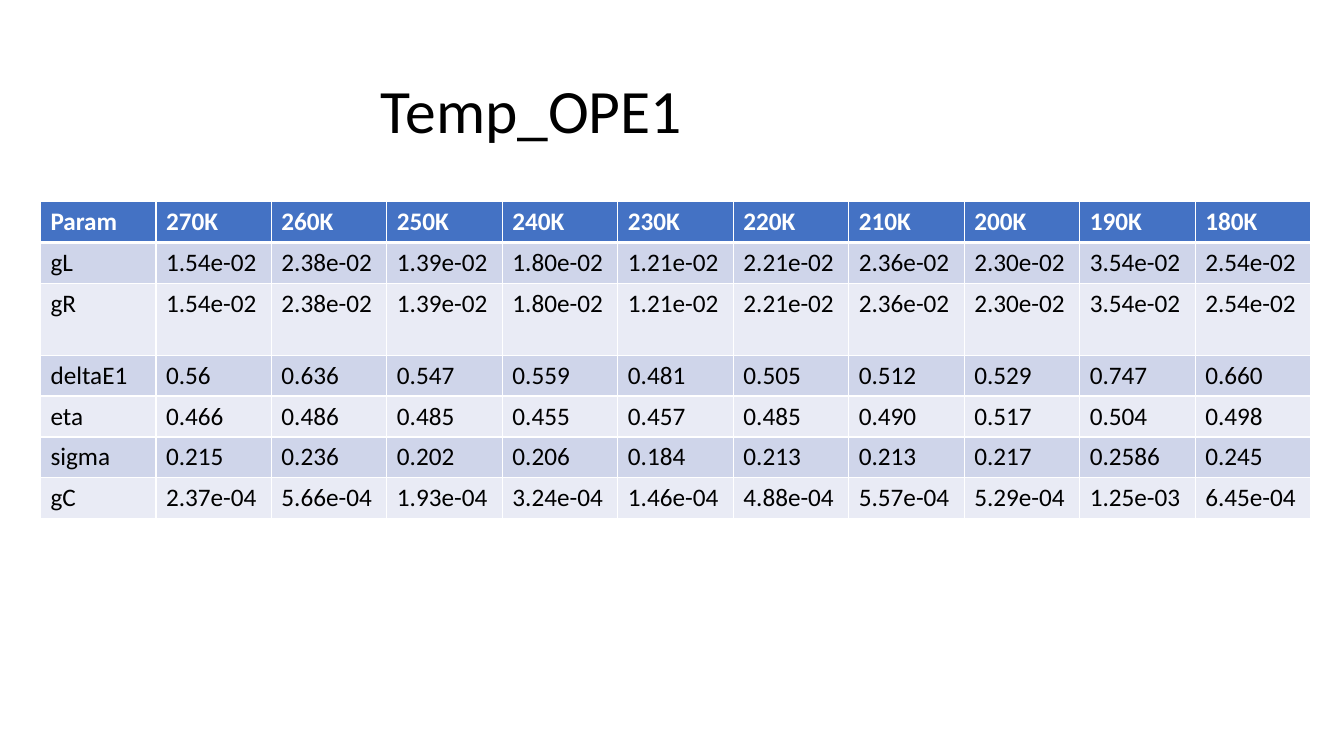
from dataclasses import dataclass

from lxml.etree import SubElement
from pptx import Presentation
from pptx.dml.color import RGBColor
from pptx.enum.text import MSO_ANCHOR
from pptx.oxml.ns import qn
from pptx.slide import Slide
from pptx.table import _Cell
from pptx.text.text import Font
from pptx.util import Cm, Pt

FONT = "Calibri"
COLORS = {
    "text": "000000",
    "header_text": "FFFFFF",
    "border": "FFFFFF",
    "header": "4472C4",
    "odd_band": "CFD5EA",
    "even_band": "E9EBF5",
}
COLUMN_WIDTH = 2.91
ROW_HEIGHT = 1.03
TALL_ROW_HEIGHT = 1.81
THIN, THICK = 1, 3


@dataclass
class ParameterRow:
    label: str
    values: str
    height: float = ROW_HEIGHT


TEMPERATURES = ParameterRow("Param", "270K 260K 250K 240K 230K 220K 210K 200K 190K 180K")
COUPLINGS = "1.54e-02 2.38e-02 1.39e-02 1.80e-02 1.21e-02 2.21e-02 2.36e-02 2.30e-02 3.54e-02 2.54e-02"
PARAMETERS = [
    ParameterRow("gL", COUPLINGS),
    ParameterRow("gR", COUPLINGS, TALL_ROW_HEIGHT),
    ParameterRow("deltaE1", "0.56 0.636 0.547 0.559 0.481 0.505 0.512 0.529 0.747 0.660"),
    ParameterRow("eta", "0.466 0.486 0.485 0.455 0.457 0.485 0.490 0.517 0.504 0.498"),
    ParameterRow("sigma", "0.215 0.236 0.202 0.206 0.184 0.213 0.213 0.217 0.2586 0.245"),
    ParameterRow("gC", "2.37e-04 5.66e-04 1.93e-04 3.24e-04 1.46e-04 4.88e-04 5.57e-04 5.29e-04 1.25e-03 6.45e-04"),
]


def style_font(font: Font, size: int, color: str, bold: bool = False) -> None:
    font.name = FONT
    font.size = Pt(size)
    font.bold = bold
    font.color.rgb = RGBColor.from_string(COLORS[color])


def set_borders(cell: _Cell, top: int, bottom: int) -> None:
    """Draw the four cell borders, with top and bottom widths in points."""
    properties = cell._tc.get_or_add_tcPr()
    for side, width in (("L", THIN), ("R", THIN), ("T", top), ("B", bottom)):
        border = SubElement(properties, qn(f"a:ln{side}"), w=str(Pt(width)))
        fill = SubElement(border, qn("a:solidFill"))
        SubElement(fill, qn("a:srgbClr"), val=COLORS["border"])


def add_title(slide: Slide, title: str) -> None:
    frame = slide.shapes.add_textbox(Cm(2.33), Cm(1.02), Cm(29.21), Cm(3.68)).text_frame
    frame.word_wrap = True
    frame.vertical_anchor = MSO_ANCHOR.MIDDLE
    frame.margin_left = Cm(7.27)
    heading = frame.paragraphs[0]
    heading.text = title
    heading.line_spacing = 0.9
    style_font(heading.runs[0].font, 44, "text")


def add_parameter_table(slide: Slide, rows: list[ParameterRow]) -> None:
    column_count = 1 + len(rows[0].values.split())
    table = slide.shapes.add_table(
        len(rows), column_count, Cm(1.02), Cm(5.08),
        Cm(COLUMN_WIDTH * column_count), Cm(sum(row.height for row in rows)),
    ).table
    for column in table.columns:
        column.width = Cm(COLUMN_WIDTH)
    for row_index, row in enumerate(rows):
        table.rows[row_index].height = Cm(row.height)
        is_header = row_index == 0
        band = "header" if is_header else "odd_band" if row_index % 2 else "even_band"
        for column_index, entry in enumerate([row.label, *row.values.split()]):
            cell = table.cell(row_index, column_index)
            cell.text_frame.text = entry
            style_font(
                cell.text_frame.paragraphs[0].runs[0].font, 18,
                "header_text" if is_header else "text", is_header,
            )
            set_borders(
                cell,
                top=THICK if row_index == 1 else THIN,
                bottom=THICK if is_header else THIN,
            )
            cell.fill.solid()
            cell.fill.fore_color.rgb = RGBColor.from_string(COLORS[band])


def main() -> None:
    presentation = Presentation()
    presentation.slide_width = Cm(33.87)
    presentation.slide_height = Cm(19.05)
    slide = presentation.slides.add_slide(presentation.slide_layouts[6])
    add_title(slide, "Temp_OPE1")
    add_parameter_table(slide, [TEMPERATURES, *PARAMETERS])
    presentation.save("out.pptx")


if __name__ == "__main__":
    main()
